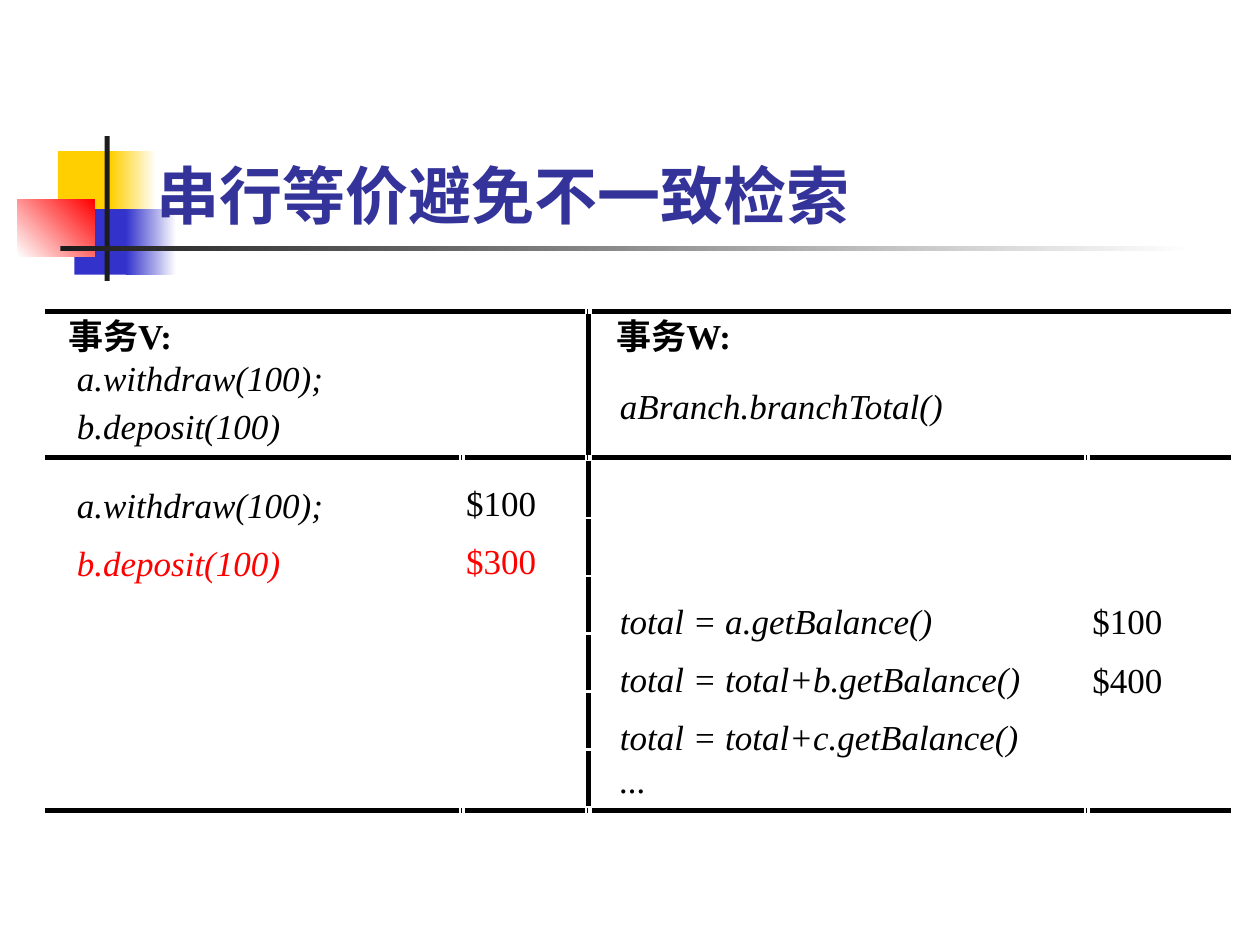
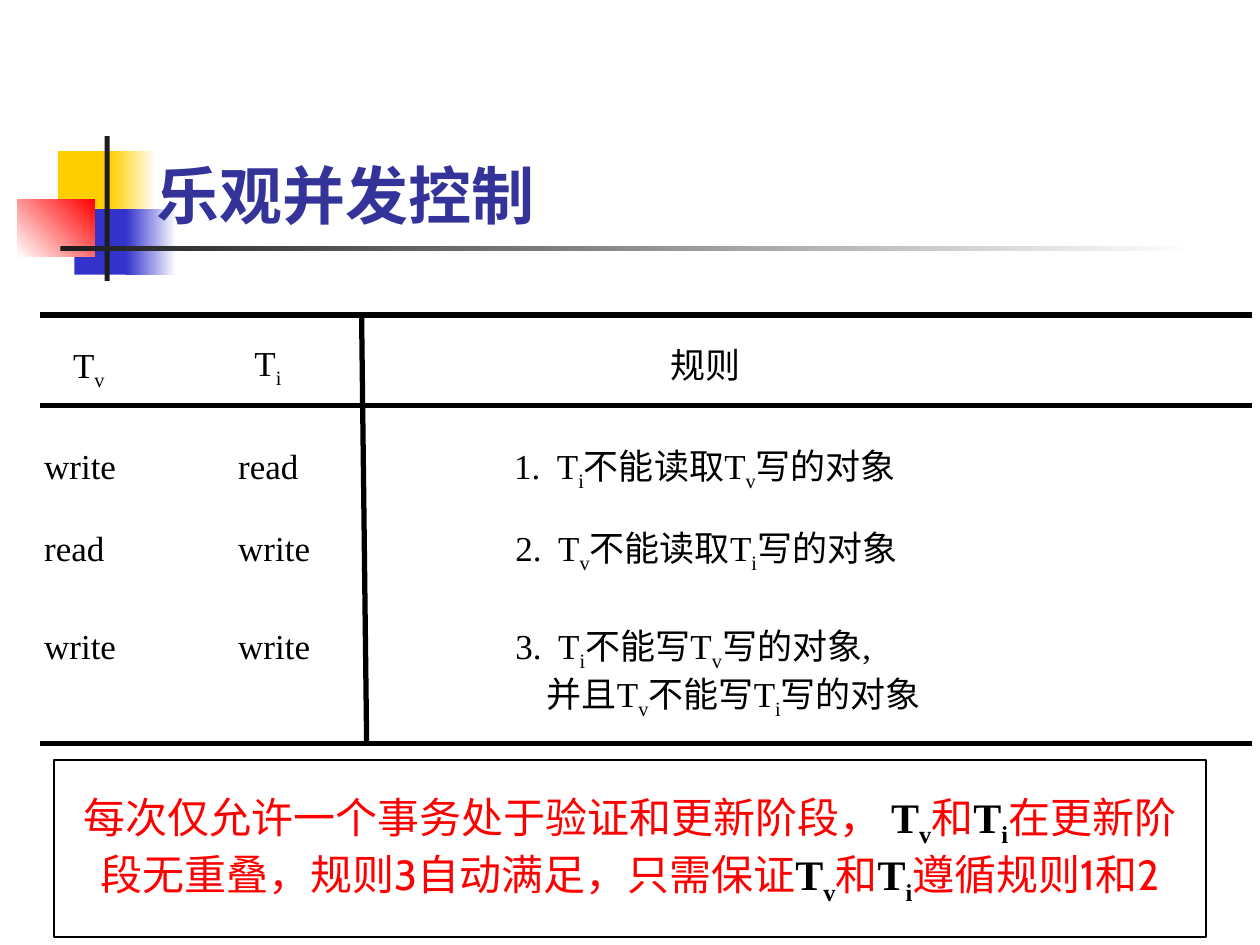
"""Build two slides on serial equivalence and optimistic concurrency control."""
from dataclasses import dataclass

from lxml import etree
from pptx import Presentation
from pptx import util as u
from pptx.dml.color import RGBColor
from pptx.enum import shapes, text
from pptx.oxml import ns


@dataclass(frozen=True)
class Theme:
    ink: str = "000000"
    alert: str = "FF0000"
    title: str = "333399"
    paper: str = "FFFFFF"
    gold: str = "FFCF01"
    blue: str = "3333CC"
    bar: str = "1C1C1C"
    serif: str = "Times New Roman"
    sans: str = "Cabin"
    asian: str = "Noto Sans CJK JP"
    title_size: int = 36
    body_size: int = 20
    notice_size: int = 24
    subscript: int = -25000


THEME = Theme()


def write(para, content, *, size=THEME.body_size, color=THEME.ink,
          font=THEME.serif, bold=False, italic=False):
    head, *tails = content.split("_")
    pieces = [(head, False)]
    for tail in tails:
        pieces += [(tail[0], True), (tail[1:], False)]
    for piece, lowered in pieces:
        if not piece:
            continue
        span = para.add_run()
        span.text = piece
        span.font.size = u.Pt(size)
        span.font.bold = bold
        span.font.italic = italic
        span.font.color.rgb = RGBColor.from_string(color)
        span.font.name = font
        props = span._r.get_or_add_rPr()
        etree.SubElement(props, ns.qn("a:ea"), typeface=THEME.asian)
        if lowered:
            props.set("baseline", str(THEME.subscript))


def inches(*lengths):
    return [u.Inches(length) for length in lengths]


class Painter:
    def __init__(self, theme):
        self.theme = theme
        self.deck = Presentation()
        self.deck.slide_width, self.deck.slide_height = inches(10, 7.5)
        self.page = None

    def new_page(self, title):
        self.page = self.deck.slides.add_slide(self.deck.slide_layouts[5])
        box = self.page.shapes.title
        box.left, box.top, box.width, box.height = inches(1.14, 0.91, 7.4, 0.98)
        frame = box.text_frame
        frame.auto_size = text.MSO_AUTO_SIZE.NONE
        frame.vertical_anchor = text.MSO_ANCHOR.BOTTOM
        para = frame.paragraphs[0]
        para.alignment = text.PP_ALIGN.LEFT
        write(para, title, size=self.theme.title_size, color=self.theme.title,
              font=self.theme.asian, bold=True)

    def block(self, place, start, end=None, angle=0):
        box = self.page.shapes.add_shape(shapes.MSO_SHAPE.RECTANGLE, *inches(*place))
        box.shadow.inherit = False
        box.line.fill.background()
        if end is None:
            box.fill.solid()
            box.fill.fore_color.rgb = RGBColor.from_string(start)
        else:
            box.fill.gradient()
            box.fill.gradient_angle = angle
            for stop, color in zip(box.fill.gradient_stops, (start, end)):
                stop.color.rgb = RGBColor.from_string(color)
        return box

    def decorate_master(self):
        theme = self.theme
        blocks = [
            ((0.46, 1.2, 0.48, 0.52), theme.gold),
            ((0.88, 1.2, 0.36, 0.52), theme.gold, theme.paper),
            ((0.59, 1.66, 0.46, 0.52), theme.blue),
            ((1, 1.66, 0.4, 0.52), theme.blue, theme.paper),
            ((0.14, 1.58, 0.61, 0.46), theme.paper, theme.alert, 45),
            ((0.83, 1.08, 0.04, 1.15), theme.bar),
            ((0.48, 1.95, 9, 0.04), theme.bar, theme.paper),
        ]
        tree = self.deck.slide_master.shapes.element
        for number, block in enumerate(blocks):
            element = self.block(*block).element
            element.nvSpPr.cNvPr.set("id", str(100 + number))
            tree.insert(2 + number, element)

    def label(self, left, top, width, content, height=0.33, **style):
        box = self.page.shapes.add_textbox(*inches(left, top, width, height))
        frame = box.text_frame
        frame.margin_left = frame.margin_right = 0
        frame.margin_top = frame.margin_bottom = 0
        frame.word_wrap = False
        frame.auto_size = text.MSO_AUTO_SIZE.SHAPE_TO_FIT_TEXT
        write(frame.paragraphs[0], content, **style)
        return frame

    def rule(self, left, top, content, continuation=None):
        frame = self.label(left, top, 3.5, content, height=0.38)
        frame.word_wrap = True
        props = frame.paragraphs[0]._p.get_or_add_pPr()
        tabs = etree.SubElement(props, ns.qn("a:tabLst"))
        etree.SubElement(tabs, ns.qn("a:tab"), pos=str(u.Inches(0.34)), algn="l")
        if continuation:
            para = frame.add_paragraph()
            para._p.get_or_add_pPr().set("marL", str(u.Inches(0.25)))
            write(para, continuation)

    def line(self, x1, y1, x2, y2, weight):
        line = self.page.shapes.add_connector(
            shapes.MSO_CONNECTOR.STRAIGHT, *inches(x1, y1, x2, y2))
        line.line.color.rgb = RGBColor.from_string(self.theme.ink)
        line.line.width = u.Pt(weight)
        etree.SubElement(line.element.spPr, ns.qn("a:effectLst"))

    def notice(self, place, content):
        theme = self.theme
        box = self.page.shapes.add_shape(shapes.MSO_SHAPE.RECTANGLE, *inches(*place))
        box.shadow.inherit = False
        box.fill.background()
        box.line.color.rgb = RGBColor.from_string(theme.ink)
        box.line.width = u.Pt(1)
        frame = box.text_frame
        frame.word_wrap = True
        frame.auto_size = text.MSO_AUTO_SIZE.SHAPE_TO_FIT_TEXT
        frame.vertical_anchor = text.MSO_ANCHOR.MIDDLE
        para = frame.paragraphs[0]
        para.alignment = text.PP_ALIGN.CENTER
        for number, part in enumerate(content.split("|")):
            if number % 2:
                write(para, part, size=theme.notice_size, bold=True)
            else:
                write(para, part, size=theme.notice_size, color=theme.alert,
                      font=theme.sans)


def build_retrieval_page(painter):
    painter.new_page("串行等价避免不一致检索")
    painter.decorate_master()

    painter.label(0.54, 2.5, 1.02, "事务V:", bold=True)
    painter.label(4.89, 2.5, 1.1, "事务W:", bold=True)
    calls = [
        (0.61, 2.83, 2, "a.withdraw(100);"),
        (0.61, 3.21, 1.66, "b.deposit(100)"),
        (4.92, 3.05, 2.63, "aBranch.branchTotal()"),
        (0.61, 3.84, 2, "a.withdraw(100);"),
        (4.92, 4.76, 2.52, "total = a.getBalance()"),
        (4.92, 5.22, 3.22, "total = total+b.getBalance()"),
        (4.92, 5.68, 3.22, "total = total+c.getBalance()"),
        (4.92, 6.02, 0.25, "..."),
    ]
    for call in calls:
        painter.label(*call, italic=True)
    painter.label(0.61, 4.3, 1.66, "b.deposit(100)", italic=True, color=THEME.alert)
    painter.label(3.7, 4.28, 0.6, "$300", color=THEME.alert)
    for left, top, amount in [(3.7, 3.82, "$100"), (8.67, 4.76, "$100"),
                              (8.67, 5.23, "$400")]:
        painter.label(left, top, 0.6, amount)

    weight = 2.86
    halves = [(0.36, 4.64), (4.7, 9.77)]
    quarters = [(0.36, 3.64), (3.69, 4.64), (4.7, 8.6), (8.65, 9.77)]
    for y, spans in [(2.47, halves), (3.63, quarters), (6.43, quarters)]:
        for start, end in spans:
            painter.line(start, y, end, y, weight)
        for (_, end), _ in zip(spans, spans[1:]):
            joint = end + 0.02
            painter.line(joint, y, joint + 0.01, y, weight)
    divider = 4.67
    painter.line(divider, 2.49, divider, 3.61, weight)
    for row in range(6):
        top = 3.66 + 0.46 * row
        painter.line(divider, top, divider, top + 0.44, weight)


def build_validation_page(painter):
    painter.new_page("乐观并发控制")
    painter.label(0.58, 2.73, 0.3, "T_v", height=0.38)
    painter.label(2.02, 2.71, 0.26, "T_i", height=0.38)
    painter.label(5.32, 2.73, 0.6, "规则")

    widths = {"read": 0.52, "write": 0.61}
    for top, first, second in [(3.53, "write", "read"), (4.18, "read", "write"),
                               (4.96, "write", "write")]:
        painter.label(0.35, top, widths[first], first)
        painter.label(1.89, top, widths[second], second)
    painter.rule(4.08, 3.53, "1.\tT_i不能读取T_v写的对象")
    painter.rule(4.09, 4.18, "2.\tT_v不能读取T_i写的对象")
    painter.rule(4.09, 4.96, "3.\tT_i不能写T_v写的对象,", "并且T_v不能写T_i写的对象")

    for y in (2.5, 3.22, 5.9):
        painter.line(0.32, y, 9.94, y, 3)
    painter.line(2.87, 2.49, 2.91, 5.9, 3)
    painter.notice(
        (0.43, 6.03, 9.14, 1.41),
        "每次仅允许一个事务处于验证和更新阶段， |T_v|和|T_i|在更新阶段无重叠，"
        "规则3自动满足，只需保证|T_v|和|T_i|遵循规则1和2")


def main():
    painter = Painter(THEME)
    build_retrieval_page(painter)
    build_validation_page(painter)
    painter.deck.save("out.pptx")


if __name__ == "__main__":
    main()
